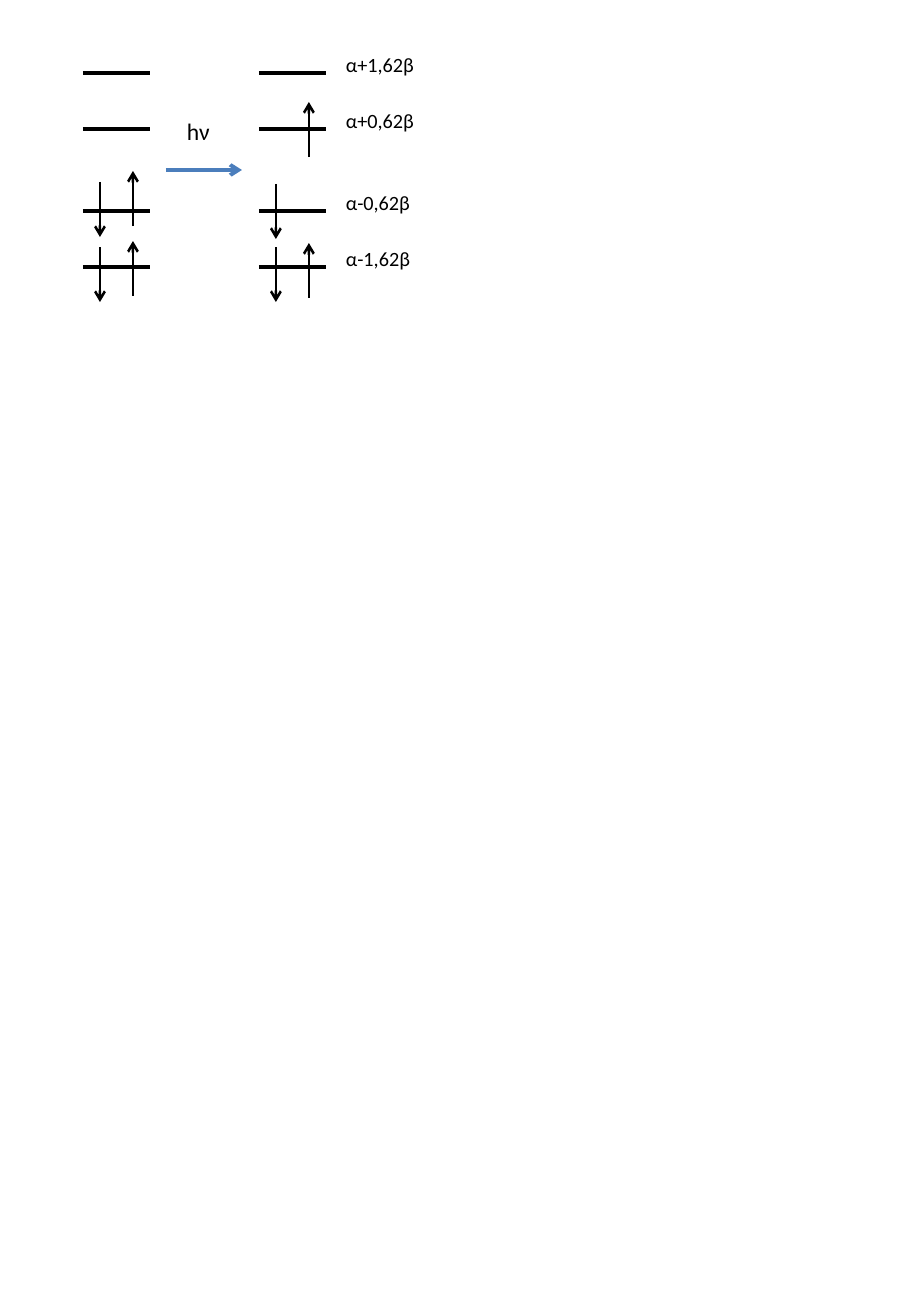
from lxml.etree import SubElement
from pptx import Presentation
from pptx.dml.color import RGBColor
from pptx.enum.shapes import MSO_CONNECTOR
from pptx.enum.text import MSO_AUTO_SIZE
from pptx.oxml.ns import qn
from pptx.util import Inches, Pt

COLORS = {"ink": "000000", "photon": "4B7EBC"}
FONT = "Calibri"
LEVELS = [("α+1,62β", 73, 102), ("α+0,62β", 129, 112),
          ("α-0,62β", 211, 102), ("α-1,62β", 267, 92)]
LEVEL_WIDTH = 67
DOWN_DX, UP_DX = 17, 50
SPIN_LENGTH = 55
STATES = [
    {"left": 83, "down": [247, 182], "up": [296, 226]},
    {"left": 259, "down": [247, 184], "up": [298, 157]},
]
LABEL_LEFT, LABEL_RISE, LABEL_HEIGHT = 334, 27, 37
PHOTON = ("hν", 175, 111, 75, 41)
PHOTON_ARROW = (166, 170, 242, 170)
SCALE = 914400 / 121.5


def px(n):
    return round(n * SCALE)


def add_line(s, x1, y1, x2, y2, width, color="ink", arrow=False):
    c = s.shapes.add_connector(MSO_CONNECTOR.STRAIGHT, *map(px, (x1, y1, x2, y2)))
    c.line.width = Pt(width)
    c.line.color.rgb = RGBColor.from_string(COLORS[color])
    if arrow:
        SubElement(c.line._get_or_add_ln(), qn("a:tailEnd"), type="arrow")
    SubElement(c._element.spPr, qn("a:effectLst"))


def add_text(s, text, x, y, w, h, size):
    tf = s.shapes.add_textbox(*map(px, (x, y, w, h))).text_frame
    tf.word_wrap = True
    tf.auto_size = MSO_AUTO_SIZE.SHAPE_TO_FIT_TEXT
    p = tf.paragraphs[0]
    p.text = text
    p.font.size = Pt(size)
    p.font.name = FONT
    p.font.color.rgb = RGBColor.from_string(COLORS["ink"])


prs = Presentation()
prs.slide_width, prs.slide_height = Inches(7.5), Inches(10.83)
s = prs.slides.add_slide(prs.slide_layouts[6])

for state in STATES:
    left = state["left"]
    for _, y, _ in LEVELS:
        add_line(s, left, y, left + LEVEL_WIDTH, y, 2)
    for spin, dx, sign in (("down", DOWN_DX, 1), ("up", UP_DX, -1)):
        x = left + dx
        for y in state[spin]:
            add_line(s, x, y, x, y + sign * SPIN_LENGTH, 1.5, arrow=True)

for label, y, width in LEVELS:
    add_text(s, label, LABEL_LEFT, y - LABEL_RISE, width, LABEL_HEIGHT, 12)

add_line(s, *PHOTON_ARROW, 2.25, "photon", arrow=True)
add_text(s, *PHOTON, 14)

prs.save("out.pptx")
